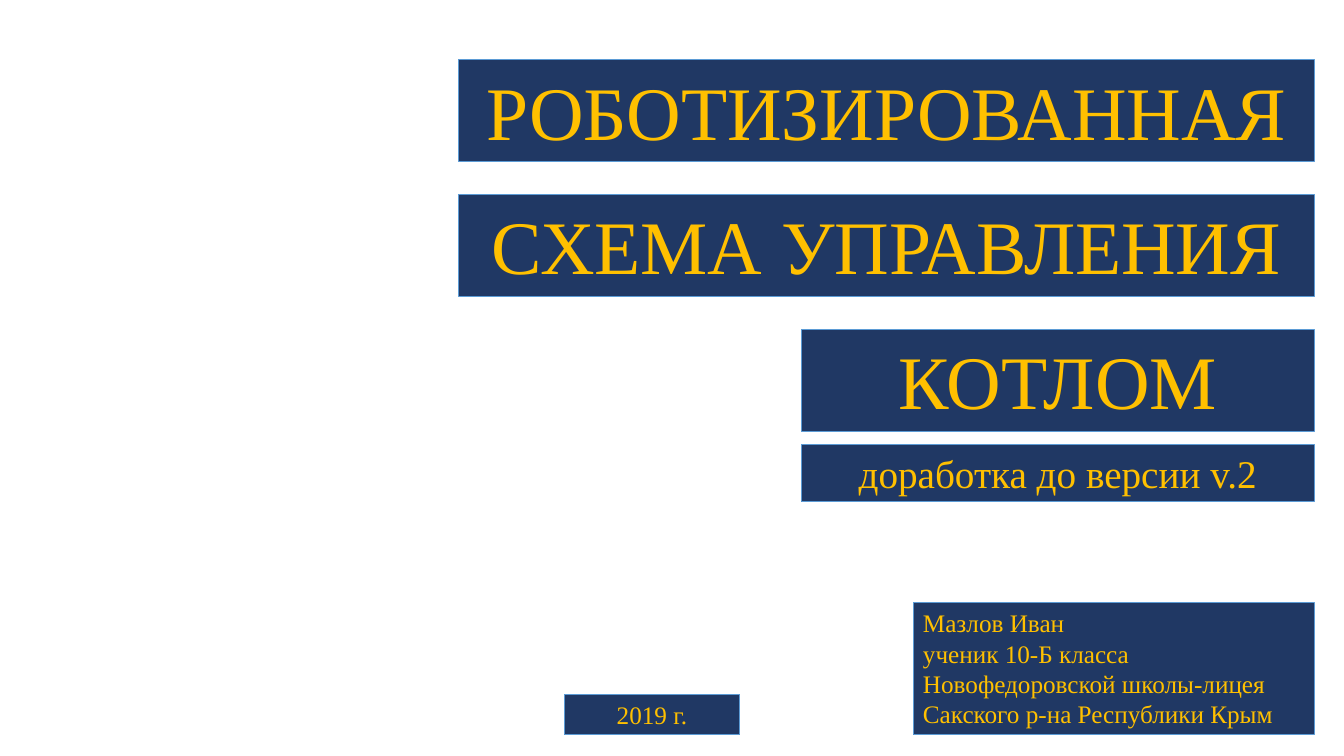
from pptx import Presentation
from pptx.dml.color import RGBColor
from pptx.enum.shapes import MSO_SHAPE as Shape
from pptx.enum.text import MSO_ANCHOR as Anchor, MSO_AUTO_SIZE as Fit, PP_ALIGN as Align
from pptx.util import Cm, Pt

NAVY = RGBColor(0x20, 0x38, 0x64)
BLUE = RGBColor(0x5B, 0x9B, 0xD5)
GOLD = RGBColor(0xFF, 0xC0, 0x00)

TITLE = [("РОБОТИЗИРОВАННАЯ", 21.56), ("СХЕМА УПРАВЛЕНИЯ", 21.56), ("КОТЛОМ", 12.93)]
VERSION = "доработка до версии v.2"
YEAR = "2019 г."
AUTHOR = [
    "Мазлов Иван",
    "ученик 10-Б класса",
    "Новофедоровской школы-лицея",
    "Сакского р-на Республики Крым",
]

RIGHT, BASE = 33.12, 18.52
TOP, STEP, HIGH = 1.5, 3.4, 2.57


def style(box, lines, size, align):
    box.fill.solid()
    box.fill.fore_color.rgb = NAVY
    box.line.color.rgb = BLUE
    box.line.width = Pt(0.75)
    frame = box.text_frame
    form = {"word_wrap": True, "auto_size": Fit.SHAPE_TO_FIT_TEXT, "vertical_anchor": Anchor.TOP}
    for key, value in form.items():
        setattr(frame, key, value)
    frame.text = "\n".join(lines)
    for para in frame.paragraphs:
        para.alignment = align
        for run in para.runs:
            run.font.color.rgb = GOLD
            for key, value in {"name": "Times New Roman", "size": Pt(size)}.items():
                setattr(run.font, key, value)


def add_bar(slide, spot, lines, size, align=Align.CENTER):
    bar = slide.shapes.add_shape(Shape.RECTANGLE, *map(Cm, spot))
    bar.shadow.inherit = False
    style(bar, lines, size, align)


def main():
    deck = Presentation()
    deck.slide_width, deck.slide_height = Cm(33.87), Cm(19.05)
    slide = deck.slides.add_slide(deck.slide_layouts[5])

    for row, (text, wide) in enumerate(TITLE):
        spot = (RIGHT - wide, TOP + row * STEP, wide, HIGH)
        if row:
            add_bar(slide, spot, [text], 54)
        else:
            head = slide.shapes.title
            for key, value in zip(("left", "top", "width", "height"), spot):
                setattr(head, key, Cm(value))
            style(head, [text], 54, Align.CENTER)

    wide = TITLE[-1][1]
    add_bar(slide, (RIGHT - wide, 11.2, wide, 1.45), [VERSION], 28)
    add_bar(slide, (14.22, BASE - 1.02, 4.42, 1.02), [YEAR], 18)
    add_bar(slide, (RIGHT - 10.11, BASE - 3.33, 10.11, 3.33), AUTHOR, 18, Align.LEFT)
    deck.save("out.pptx")


if __name__ == "__main__":
    main()
